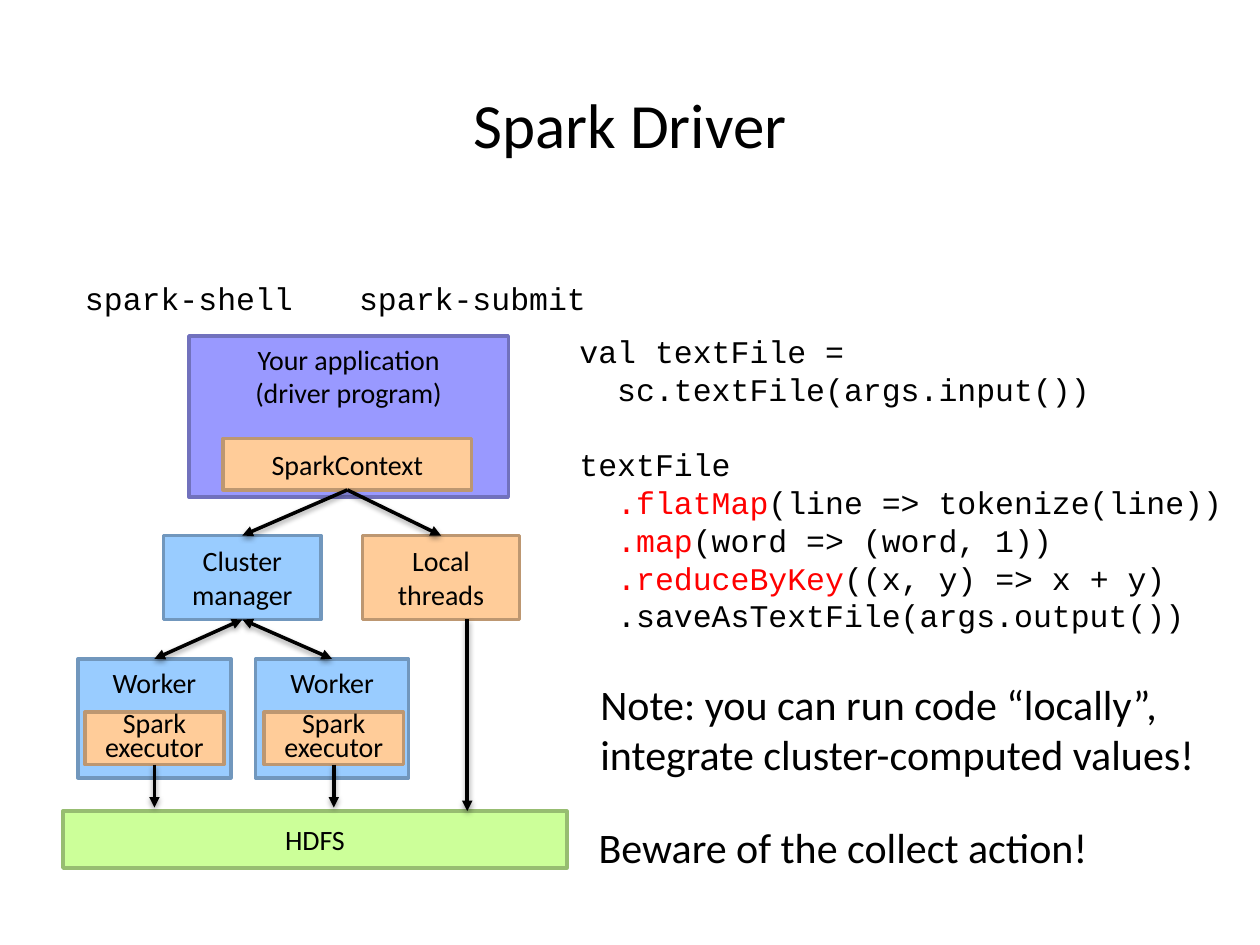
import pptx
import pptx.util
import pptx.dml.color
import pptx.enum.shapes
import pptx.enum.text
import pptx.oxml
import pptx.oxml.ns

Pt = pptx.util.Pt
ALIGN = pptx.enum.text.PP_ALIGN
ANCHOR = pptx.enum.text.MSO_ANCHOR
SHAPES = pptx.enum.shapes
TOP, BOTTOM = 0, 2

SHADOW = (
    f'<a:effectLst {pptx.oxml.ns.nsdecls("a")}>'
    '<a:outerShdw blurRad="40000" dist="20000" dir="5400000" rotWithShape="0">'
    '<a:srgbClr val="000000"><a:alpha val="38000"/></a:srgbClr>'
    '</a:outerShdw></a:effectLst>'
)


def color(value):
    return pptx.dml.color.RGBColor.from_string(value)


def apply(target, values):
    for name, value in values.items():
        setattr(target, name, value)


class Painter:
    """Holds the style and the current slide."""

    body, mono = "Calibri", "Courier New"
    black, red = "000000", "FF0000"
    # fill and outline of each kind of block
    purple = ("9999FF", "7171BD")
    orange = ("FFCC99", "BD9771")
    blue = ("99CCFF", "7197BD")
    green = ("CCFF99", "97BD71")

    def __init__(self, page):
        self.page = page

    def set_lines(self, box, lines, size, font=body, frame=None, para_format=None):
        """Each line is a string or a list of (text, colour) spans."""
        text_frame = box.text_frame
        apply(text_frame, {"word_wrap": True, **(frame or {})})
        for index, line in enumerate(lines):
            para = text_frame.add_paragraph() if index else text_frame.paragraphs[0]
            apply(para, para_format or {})
            spans = [(line, self.black)] if isinstance(line, str) else line
            for text, shade in spans:
                span = para.add_run()
                span.text = text
                apply(span.font, {"name": font, "size": Pt(size)})
                span.font.color.rgb = color(shade)

    def title(self, text, left, top, width, height):
        box = self.page.shapes.title
        apply(box, {"left": Pt(left), "top": Pt(top),
                    "width": Pt(width), "height": Pt(height)})
        self.set_lines(box, [text], 36,
                       frame={"vertical_anchor": ANCHOR.MIDDLE,
                              "auto_size": pptx.enum.text.MSO_AUTO_SIZE.NONE},
                       para_format={"alignment": ALIGN.CENTER})

    def text(self, lines, left, top, width, height, size, font=body, align=ALIGN.LEFT):
        box = self.page.shapes.add_textbox(Pt(left), Pt(top), Pt(width), Pt(height))
        self.set_lines(box, lines, size, font, para_format={"alignment": align})
        return box

    def block(self, lines, left, top, width, height, colors,
              anchor=ANCHOR.MIDDLE, spacing=None, margin=7.2):
        box = self.page.shapes.add_shape(
            SHAPES.MSO_SHAPE.RECTANGLE, Pt(left), Pt(top), Pt(width), Pt(height))
        box.shadow.inherit = False
        box.fill.solid()
        box.fill.fore_color.rgb = color(colors[0])
        box.line.color.rgb = color(colors[1])
        box.line.width = Pt(2)
        self.set_lines(box, lines, 16,
                       frame={"vertical_anchor": anchor,
                              "margin_left": Pt(margin), "margin_right": Pt(margin)},
                       para_format={"alignment": ALIGN.CENTER, "line_spacing": spacing})
        return box

    def arrow(self, source, target=None, start=(0, 0), end=(0, 0), both=False):
        """Joins the bottom of source, or start, to the top of target, or end."""
        line = self.page.shapes.add_connector(
            SHAPES.MSO_CONNECTOR.STRAIGHT, *map(Pt, start + end))
        if source is not None:
            line.begin_connect(source, BOTTOM)
        if target is not None:
            line.end_connect(target, TOP)
        line.line.color.rgb = color(self.black)
        line.line.width = Pt(2)
        properties = line.element.spPr
        outline = properties.find(pptx.oxml.ns.qn("a:ln"))
        for tag in ["headEnd"] * both + ["tailEnd"]:
            outline.append(pptx.oxml.parse_xml(
                f'<a:{tag} {pptx.oxml.ns.nsdecls("a")} type="triangle"/>'))
        properties.append(pptx.oxml.parse_xml(SHADOW))


def main():
    deck = pptx.Presentation()
    deck.slide_width, deck.slide_height = Pt(720), Pt(540)
    page = deck.slides.add_slide(deck.slide_layouts[5])
    painter = Painter(page)
    painter.title("Spark Driver", 0, 43.2, 720, 54)

    # Ways to start the driver
    for left, command in ((36, "spark-shell"), (198, "spark-submit")):
        painter.text([command], left, 156, 144, 29, 18, painter.mono, ALIGN.CENTER)

    # Word count program
    red, black = painter.red, painter.black
    steps = [(".flatMap", "(line => tokenize(line))"),
             (".map", "(word => (word, 1))"),
             (".reduceByKey", "((x, y) => x + y)")]
    code = ["val textFile =", "  sc.textFile(args.input())", "textFile"]
    code += [[("  ", black), (call, red), (rest, black)] for call, rest in steps]
    code += ["  .saveAsTextFile(args.output())"]
    listing = painter.text(code, 324, 186, 408, 181.5, 18, painter.mono)
    listing.text_frame.paragraphs[2].space_before = Pt(21.6)

    # Remarks
    painter.text(["Note: you can run code “locally”, integrate cluster-computed values!"],
                 336, 384, 354, 65.5, 24)
    painter.text(["Beware of the collect action!"], 335, 466, 354, 36, 24)

    # Driver, cluster manager, local threads and storage
    painter.block(["Your application", "(driver program)"],
                  108, 192, 182.5, 92, painter.purple, ANCHOR.TOP)
    context = painter.block(["SparkContext"], 127.5, 250.5, 142, 29.5, painter.orange)
    threads = painter.block(["Local threads"], 207, 306, 90, 48, painter.orange)
    manager = painter.block(["Cluster manager"], 93.5, 306, 90, 48, painter.blue)
    painter.block(["HDFS"], 36, 463.5, 288, 32.5, painter.green)

    for target in (manager, threads):
        painter.arrow(context, target)
    painter.arrow(None, start=(267, 354), end=(267, 463.5))

    # Workers with their executors
    for left, executor_left in ((44.5, 48.5), (146, 151)):
        worker = painter.block(["Worker"], left, 376.5, 87.5, 68,
                               painter.blue, ANCHOR.TOP, margin=0)
        executor = painter.block(["Spark executor"], executor_left, 407, 79.5, 30,
                                 painter.orange, spacing=0.7)
        painter.arrow(manager, worker, both=True)
        painter.arrow(executor, end=(executor_left + 79.5 / 2, 461.5))

    deck.save("out.pptx")


if __name__ == "__main__":
    main()
